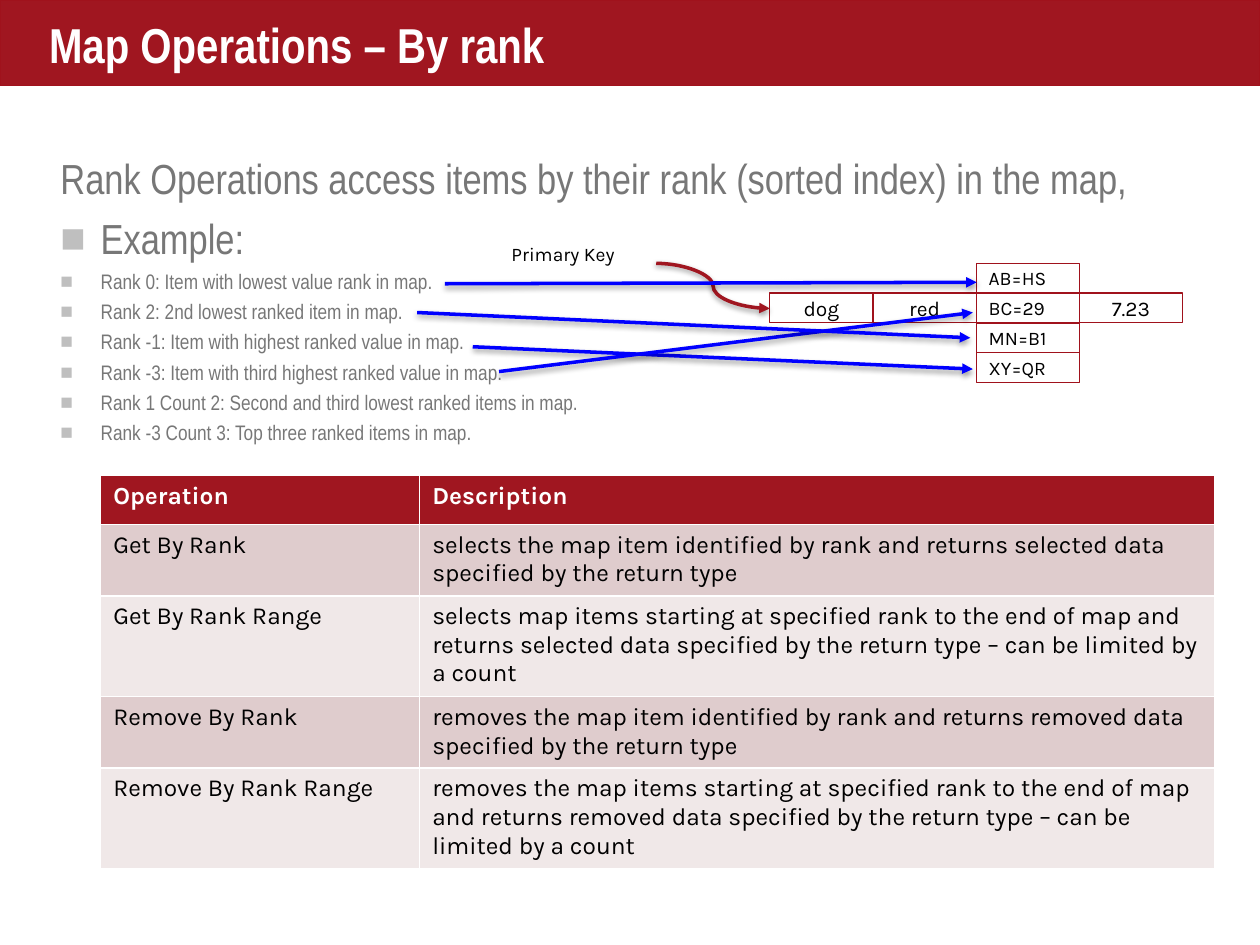
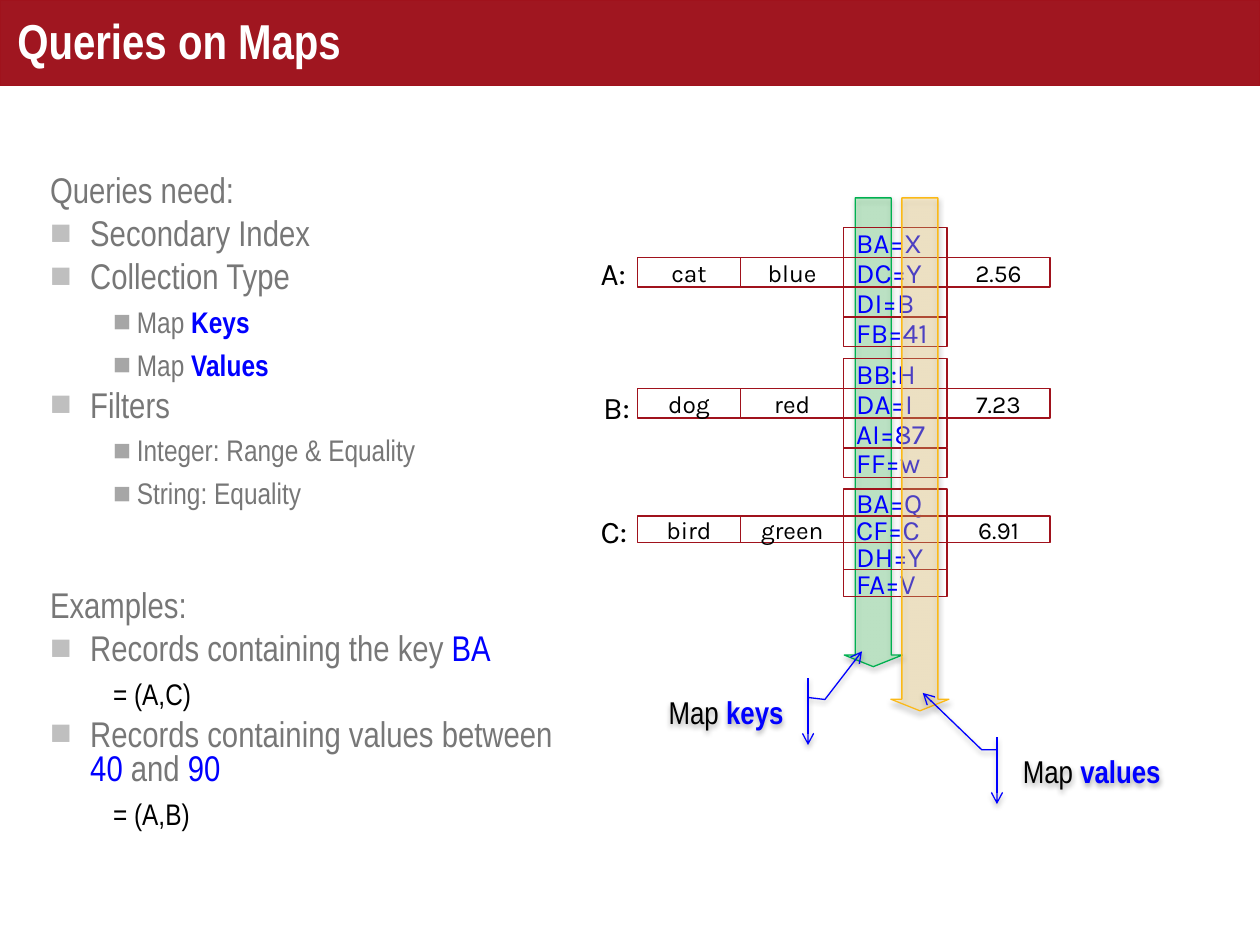
from typing import NamedTuple, Optional

from lxml.etree import SubElement
from pptx import Presentation
from pptx.dml.color import RGBColor
from pptx.enum.shapes import MSO_CONNECTOR, MSO_SHAPE
from pptx.enum.text import MSO_ANCHOR, PP_ALIGN
from pptx.oxml.ns import qn
from pptx.util import Cm, Pt

RED = RGBColor(0xA0, 0x16, 0x20)
EDGE = RGBColor(0xA0, 0x12, 0x1C)
WHITE = RGBColor(0xFF, 0xFF, 0xFF)
BLACK = RGBColor(0, 0, 0)
GREY = RGBColor(0x77, 0x77, 0x77)
SILVER = RGBColor(0xBF, 0xBF, 0xBF)
ASH = RGBColor(0xA6, 0xA6, 0xA6)
BLUE = RGBColor(0, 0, 0xFF)
ROSE = RGBColor(0xDF, 0xCC, 0xCD)
BLUSH = RGBColor(0xF0, 0xE8, 0xE8)
MINT = RGBColor(0x5A, 0xDA, 0x75)
GREEN = RGBColor(0, 0xB0, 0x50)
SAND = RGBColor(0xFD, 0xD5, 0x74)
GOLD = RGBColor(0xFB, 0xB9, 0x17)

NARROW = "Arial Narrow"
KARLA = "Karla"
CELL = 2.08


class Style(NamedTuple):
    size: float
    color: RGBColor = GREY
    font: str = NARROW
    bold: bool = False
    strong: bool = False
    align: Optional[PP_ALIGN] = None
    left: float = 0
    hang: float = 0
    bullet: Optional[RGBColor] = None
    lines: Optional[float] = None
    gap: float = 0


def listed(size, **more):
    """Style of a body line, whose gap above grows with the type size."""
    return Style(size, **{"gap": 0.24 * size, **more})


TITLE = Style(28, WHITE, bold=True)
LEAD = listed(24)
POINT = listed(24, left=0.81, hang=0.81, bullet=SILVER)
RANK = listed(12, left=0.81, hang=0.81, bullet=SILVER)
HEAD = listed(20.4, lines=0.8)
NEXT = HEAD._replace(gap=46)
ITEM = HEAD._replace(left=0.81, hang=0.81, bullet=SILVER)
SUB = listed(17, left=1.75, hang=0.48, bullet=ASH, strong=True)
ANSWER = listed(17, color=BLACK, left=1.27)
CALL = Style(18, BLACK, strong=True)


class Deck:
    def __init__(self):
        self.show = Presentation()
        self.show.slide_width = Cm(25.4)
        self.show.slide_height = Cm(19.05)
        self.slide = None

    def start(self, title, x, y):
        self.slide = self.show.slides.add_slide(self.show.slide_layouts[6])
        self.shape(MSO_SHAPE.RECTANGLE, (0, 0, 25.4, 1.73), EDGE, RED)
        self.text((x, y, 23.44, 1.6), [(TITLE, title)], anchor=MSO_ANCHOR.MIDDLE)

    def typeset(self, frame, rows):
        """Fill a frame with (style, text) rows; every second part between bars is blue."""
        for i, (style, words) in enumerate(rows):
            para = frame.add_paragraph() if i else frame.paragraphs[0]
            para.alignment = style.align
            para.space_before = Pt(style.gap)
            if style.lines:
                para.line_spacing = style.lines
            for j, part in enumerate(words.split("|")):
                run = para.add_run()
                run.text = part
                font = run.font
                font.name, font.size = style.font, Pt(style.size)
                font.color.rgb = BLUE if j % 2 else style.color
                font.bold = style.bold or bool(style.strong and j % 2)
            self.indent(para, style)

    def indent(self, para, style):
        props = para._p.get_or_add_pPr()
        props.set("marL", str(Cm(style.left)))
        props.set("indent", str(-Cm(style.hang)))
        if style.bullet:
            color = SubElement(props, qn("a:buClr"))
            SubElement(color, qn("a:srgbClr"), val=str(style.bullet))
            SubElement(props, qn("a:buFont"), typeface="Arial")
            SubElement(props, qn("a:buChar"), char="■")

    def text(self, area, rows, wrap=True, anchor=MSO_ANCHOR.TOP):
        frame = self.slide.shapes.add_textbox(*map(Cm, area)).text_frame
        frame.word_wrap = wrap
        frame.vertical_anchor = anchor
        self.typeset(frame, rows)

    def shade(self, item, alpha=0, drop=0):
        """Replace the theme's shadow by a soft one below, or by none."""
        effects = SubElement(item.element.spPr, qn("a:effectLst"))
        if alpha:
            outer = SubElement(effects, qn("a:outerShdw"), blurRad="40000",
                               dist=str(drop), dir="5400000", rotWithShape="0")
            color = SubElement(outer, qn("a:srgbClr"), val="000000")
            SubElement(color, qn("a:alpha"), val=str(alpha * 1000))

    def tip(self, item, kind):
        line = item.element.spPr.find(qn("a:ln"))
        SubElement(line, qn("a:tailEnd"), type=kind)

    def shape(self, kind, area, edge, fill=None, rows=(), alpha=0, turns=()):
        item = self.slide.shapes.add_shape(kind, *map(Cm, area))
        for i, turn in enumerate(turns):
            item.adjustments[i] = turn
        if fill is None:
            item.fill.background()
        else:
            item.fill.solid()
            item.fill.fore_color.rgb = fill
        item.line.color.rgb = edge
        item.line.width = Pt(0.75)
        self.shade(item, alpha, 23000)
        item.text_frame.vertical_anchor = MSO_ANCHOR.MIDDLE
        self.typeset(item.text_frame, rows)
        return item

    def arrow(self, ends, color=BLUE, kind=MSO_CONNECTOR.STRAIGHT):
        item = self.slide.shapes.add_connector(kind, *map(Cm, ends))
        item.line.color.rgb = color
        item.line.width = Pt(2)
        self.tip(item, "triangle")
        self.shade(item, 38, 20000)

    def record(self, x, y, high, bins, pairs, plain, paired):
        """Draw a record: a row of bins whose third bin is a stacked map."""
        for col, words in zip((0, 1, 3), bins):
            self.shape(MSO_SHAPE.RECTANGLE, (x + col * CELL, y + high, CELL, high),
                       EDGE, rows=[(plain, words)])
        for i, words in enumerate(pairs):
            self.shape(MSO_SHAPE.RECTANGLE, (x + 2 * CELL, y + i * high, CELL, high),
                       EDGE, rows=[(paired, words)])

    def down(self, x, high, fill, edge):
        item = self.shape(MSO_SHAPE.DOWN_ARROW, (x, 3.99, 1.17, high), edge, fill,
                          alpha=35, turns=(0.62, 0.2))
        tint = item.element.spPr.find(qn("a:solidFill"))[0]
        SubElement(tint, qn("a:alpha"), val="30000")

    def callout(self, x, y, words, turns):
        item = self.shape(MSO_SHAPE.LINE_CALLOUT_2_ACCENT_BAR, (x, y, 3.4, 1.35), BLUE,
                          rows=[(CALL._replace(align=PP_ALIGN.LEFT), words)],
                          alpha=35, turns=turns)
        self.tip(item, "arrow")

    def table(self, x, y, wide, high, rows):
        """Draw a table with a red head and banded rows; high has head and row height."""
        head, body = high
        grid = self.slide.shapes.add_table(
            len(rows), len(wide), Cm(x), Cm(y), Cm(sum(wide)),
            Cm(head + body * (len(rows) - 1))).table
        for col, size in zip(grid.columns, wide):
            col.width = Cm(size)
        for i, row in enumerate(rows):
            grid.rows[i].height = Cm(body if i else head)
            fill = (BLUSH, ROSE)[i % 2] if i else RED
            style = Style(14, BLACK if i else WHITE, KARLA, bold=not i)
            for j, words in enumerate(row):
                cell = grid.cell(i, j)
                cell.fill.solid()
                cell.fill.fore_color.rgb = fill
                self.typeset(cell.text_frame, [(style, words)])


def rank(deck):
    deck.start("Map Operations – By rank", 0.74, 0.08)
    ranks = (
        "Rank 0: Item with lowest value rank in map.",
        "Rank 2: 2nd lowest ranked item in map.",
        "Rank -1: Item with highest ranked value in map.",
        "Rank -3: Item with third highest ranked value in map.",
        "Rank 1 Count 2: Second and third lowest ranked items in map.",
        "Rank -3 Count 3: Top three ranked items in map.",
    )
    deck.text((0.97, 2.95, 23.93, 6.58), [
        (LEAD, "Rank Operations access items by their rank (sorted index) in the map,"),
        (POINT, "Example:"),
        *((RANK, words) for words in ranks),
    ])
    deck.table(2.03, 9.58, (6.43, 16.03), (0.99, 1.19), (
        ("Operation", "Description"),
        ("Get By Rank", "selects the map item identified by rank and returns selected "
                        "data specified by the return type"),
        ("Get By Rank Range", "selects map items starting at specified rank to the end of "
                              "map and returns selected data specified by the return type "
                              "– can be limited by a count"),
        ("Remove By Rank", "removes the map item identified by rank and returns removed "
                           "data specified by the return type"),
        ("Remove By Rank Range", "removes the map items starting at specified rank to the "
                                 "end of map and returns removed data specified by the "
                                 "return type – can be limited by a count"),
    ))
    deck.record(15.52, 5.31, 0.6, ("dog", "red", "7.23"),
                ("AB=HS", "BC=29", "MN=B1", "XY=QR"),
                Style(12, BLACK, KARLA, align=PP_ALIGN.CENTER),
                Style(11, BLACK, KARLA, align=PP_ALIGN.LEFT))
    deck.arrow((13.23, 5.31, 15.52, 6.22), RED, MSO_CONNECTOR.CURVE)
    deck.text((10.06, 4.75, 2.62, 0.74), [(Style(11, BLACK, KARLA), "Primary Key")],
              wrap=False)
    for ends in ((8.97, 5.72, 19.69, 5.69), (9.53, 6.99, 19.61, 7.44),
                 (10.06, 7.49, 19.61, 6.3), (8.41, 6.3, 19.56, 6.81)):
        deck.arrow(ends)


def query(deck):
    deck.start("Queries on Maps", 0.1, 0)
    deck.down(17.02, 9.45, MINT, GREEN)
    deck.text((0.76, 3.43, 10.77, 14.02), [
        (HEAD, "Queries need:"),
        (ITEM, "Secondary Index"),
        (ITEM, "Collection Type"),
        (SUB, "Map |Keys"),
        (SUB, "Map |Values"),
        (ITEM, "Filters"),
        (SUB, "Integer: Range & Equality"),
        (SUB, "String: Equality"),
        (NEXT, "Examples:"),
        (ITEM, "Records containing the key |BA"),
        (ANSWER, "= (A,C)"),
        (ITEM, "Records containing values between |40| and |90"),
        (ANSWER, "= (A,B)"),
    ])
    plain = Style(14, BLACK, KARLA, align=PP_ALIGN.CENTER)
    paired = Style(16, BLUE, KARLA, align=PP_ALIGN.LEFT)
    for name, x, y, top, high, bins, pairs in (
        ("A:", 11.86, 5, 4.59, 0.6, ("cat", "blue", "2.56"),
         ("BA=X", "DC=Y", "DI=B", "FB=41")),
        ("B:", 11.91, 7.7, 7.23, 0.6, ("dog", "red", "7.23"),
         ("BB:H", "DA=I", "AI=87", "FF=w")),
        ("C:", 11.86, 10.19, 9.86, 0.54, ("bird", "green", "6.91"),
         ("BA=Q", "CF=C", "DH=Y", "FA=V")),
    ):
        deck.record(12.85, top, high, bins, pairs, plain, paired)
        deck.text((x, y, 1.1, 1.02), [(Style(18, BLACK, KARLA), name)], wrap=False)
    deck.down(17.96, 10.34, SAND, GOLD)
    deck.callout(20.37, 14.86, "Map |values", (0.19, -0.08, 0.19, -0.17, -0.66, -0.52))
    deck.callout(13.23, 13.67, "Map |keys", (0.29, 0.9, 0.32, 1, -0.4, 1.22))


def main():
    deck = Deck()
    rank(deck)
    query(deck)
    deck.show.save("out.pptx")


if __name__ == "__main__":
    main()
